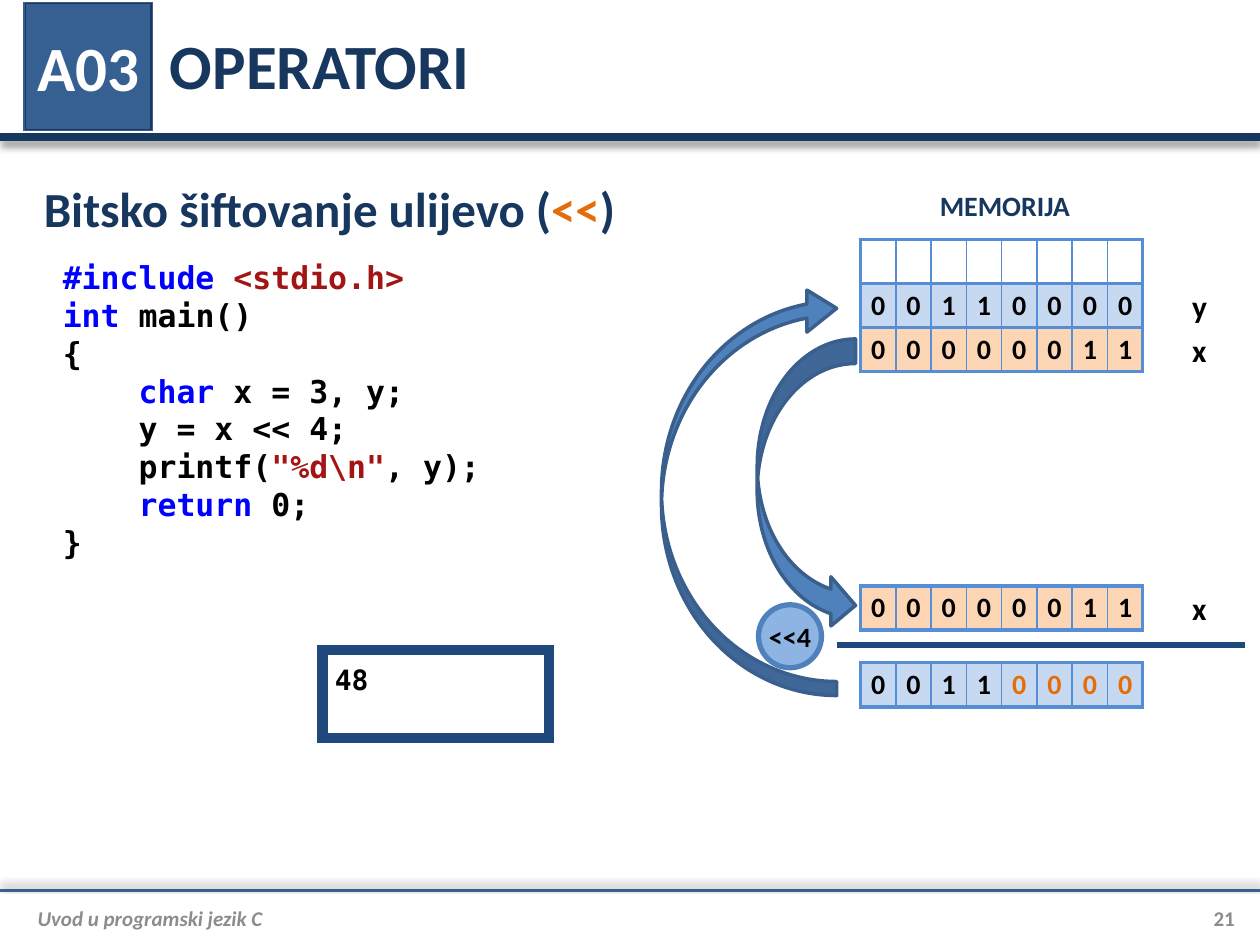
from lxml import etree
from pptx import Presentation
from pptx import util as u
from pptx.dml.color import RGBColor
from pptx.enum import shapes, text
from pptx.oxml.ns import qn

NAVY = RGBColor(0x17, 0x37, 0x5E)
BADGE = RGBColor(0x37, 0x60, 0x92)
FRAME = RGBColor(0x1F, 0x49, 0x7D)
ARROW = RGBColor(0x4F, 0x81, 0xBD)
ARROW_EDGE = RGBColor(0x3A, 0x5F, 0x8C)
GRID = RGBColor(0x55, 0x8E, 0xD5)
CIRCLE = RGBColor(0x8E, 0xB4, 0xE3)
BLUE_CELL = RGBColor(0xC6, 0xD9, 0xF1)
PEACH_CELL = RGBColor(0xFC, 0xD5, 0xB5)
ORANGE = RGBColor(0xE4, 0x6C, 0x0A)
GREY = RGBColor(0x8C, 0x8C, 0x8C)
KEYWORD = RGBColor(0x00, 0x00, 0xFF)
STRING = RGBColor(0xA3, 0x15, 0x15)
BLACK = RGBColor(0, 0, 0)
WHITE = RGBColor(0xFF, 0xFF, 0xFF)

SANS, MONO = "Calibri", "DejaVu Sans Mono"
LEFT, CENTER, RIGHT = text.PP_ALIGN.LEFT, text.PP_ALIGN.CENTER, text.PP_ALIGN.RIGHT
TOP, MIDDLE = text.MSO_ANCHOR.TOP, text.MSO_ANCHOR.MIDDLE
NO_INSETS = (0, 0, 0, 0)
NO_TABLE_STYLE = "{2D5ABB26-0587-4C30-8999-92F81FD0307C}"

# A line of text is a list of (words, colour) runs.
HEADING = [[("Bitsko šiftovanje ulijevo (", NAVY), ("<<", ORANGE), (")", NAVY)]]
CODE = [
    [("#include", KEYWORD), (" ", BLACK), ("<stdio.h>", STRING)],
    [("int", KEYWORD), (" main()", BLACK)],
    [("{", BLACK)],
    [("    char", KEYWORD), (" x = 3, y;", BLACK)],
    [("    y = x << 4;", BLACK)],
    [("    printf(", BLACK), ('"%d\\n"', STRING), (", y);", BLACK)],
    [("    return", KEYWORD), (" 0;", BLACK)],
    [("}", BLACK)],
]

BITS, CELL_W, ROW_H = 8, 0.28, 0.35
GRID_LEFT, NAME_LEFT, NAME_W = 6.83, 9.12, 0.8
MEMORY_TOP, OPERAND_TOP, RESULT_TOP = 1.9, 4.65, 5.26
Y_TOP, X_TOP = MEMORY_TOP + ROW_H, MEMORY_TOP + 2 * ROW_H
EMPTY, X_BITS, Y_BITS = " " * BITS, "00000011", "00110000"
# Back to front: (top, rows of bits, fill, has grid lines, how many last bits are new).
# In memory the cells and the values stored in them are separate layers.
REGISTERS = [
    (MEMORY_TOP, [EMPTY] * 3, None, True, 0),
    (X_TOP, [EMPTY], PEACH_CELL, True, 0),
    (X_TOP, [X_BITS], None, False, 0),
    (Y_TOP, [EMPTY], BLUE_CELL, True, 0),
    (OPERAND_TOP, [X_BITS], PEACH_CELL, True, 0),
    (Y_TOP, [Y_BITS], None, False, 0),
    (RESULT_TOP, [Y_BITS], BLUE_CELL, True, 4),
]
VARIABLES = [("x", X_TOP), ("y", Y_TOP), ("x", OPERAND_TOP)]

prs = Presentation()
prs.slide_width, prs.slide_height = u.Inches(10), u.Inches(7.5)
slide = prs.slides.add_slide(prs.slide_layouts[6])


def inches(*lengths):
    return [u.Inches(length) for length in lengths]


def write(box, lines, size, font=SANS, align=LEFT, anchor=MIDDLE,
          insets=(0.1, 0.05, 0.1, 0.05), italic=False):
    """Fill a text frame; box is the frame, or the table cell, that has the insets."""
    box.vertical_anchor = anchor
    (box.margin_left, box.margin_top,
     box.margin_right, box.margin_bottom) = inches(*insets)
    frame = getattr(box, "text_frame", box)
    frame.word_wrap = True
    for i, line in enumerate(lines):
        para = frame.add_paragraph() if i else frame.paragraphs[0]
        para.alignment = align
        para.font.size, para.font.name = u.Pt(size), font
        para.font.bold, para.font.italic = True, italic
        for words, color in line:
            run = para.add_run()
            run.text = words
            run.font.color.rgb = color


def label(place, lines, size, **style):
    box = slide.shapes.add_textbox(*inches(*place))
    write(box.text_frame, lines, size, **style)


def figure(kind, place, fill, edge, edge_width):
    shape = slide.shapes.add_shape(kind, *inches(*place))
    shape.shadow.inherit = False
    shape.fill.solid()
    shape.fill.fore_color.rgb = fill
    shape.line.color.rgb = edge
    shape.line.width = u.Pt(edge_width)
    if kind == shapes.MSO_SHAPE.RECTANGLE:
        etree.SubElement(shape.line._get_or_add_ln(), qn("a:miter"), lim="800000")
    return shape


def rule(left, right, y, color, width, shadow_angle=None):
    line = slide.shapes.add_connector(
        shapes.MSO_CONNECTOR.STRAIGHT, *inches(left, y, right, y))
    line.line.color.rgb = color
    line.line.width = u.Pt(width)
    effects = etree.SubElement(line._element.spPr, qn("a:effectLst"))
    if shadow_angle is not None:
        shadow = etree.SubElement(
            effects, qn("a:outerShdw"), blurRad=str(u.Pt(4)), dist=str(u.Pt(3)),
            dir=str(shadow_angle * 60000), rotWithShape="0")
        black = etree.SubElement(shadow, qn("a:srgbClr"), val=str(BLACK))
        etree.SubElement(black, qn("a:alpha"), val="40000")


def border(cell, column):
    """Thick lines around a row of bits, thin ones between its bits."""
    widths = {"lnL": 1 if column else 2.25,
              "lnR": 1 if column < BITS - 1 else 2.25,
              "lnT": 2.25, "lnB": 2.25}
    props = cell._tc.get_or_add_tcPr()
    for side, width in widths.items():
        edge = etree.SubElement(props, qn(f"a:{side}"), w=str(u.Pt(width)))
        fill = etree.SubElement(edge, qn("a:solidFill"))
        etree.SubElement(fill, qn("a:srgbClr"), val=str(GRID))


def register(top, rows, fill, has_grid, new_bits):
    table = slide.shapes.add_table(
        len(rows), BITS,
        *inches(GRID_LEFT, top, BITS * CELL_W, len(rows) * ROW_H)).table
    table.first_row = table.horz_banding = False
    table._tbl.tblPr.find(qn("a:tableStyleId")).text = NO_TABLE_STYLE
    for column in table.columns:
        column.width = u.Inches(CELL_W)
    for r, bits in enumerate(rows):
        table.rows[r].height = u.Inches(ROW_H)
        for c, bit in enumerate(bits):
            cell = table.cell(r, c)
            if has_grid:
                border(cell, c)
            if fill is None:
                cell.fill.background()
            else:
                cell.fill.solid()
                cell.fill.fore_color.rgb = fill
            color = ORANGE if c >= BITS - new_bits else BLACK
            write(cell, [[(bit, color)] if bit.strip() else []], 16,
                  align=CENTER, insets=NO_INSETS)


# Header and footer
rule(0, 10, 1.09, NAVY, 4.5, shadow_angle=90)
rule(0, 10, 7.07, BADGE, 1.5, shadow_angle=270)
badge_place = (0.2, 0.03, 1, 1)
figure(shapes.MSO_SHAPE.RECTANGLE, badge_place, ARROW, ARROW_EDGE, 2)
label((1.25, 0.01, 8.55, 1), [[("OPERATORI", NAVY)]], 36)
label((0.2, 7.11, 9.1, 0.35), [[("Uvod u programski jezik C", GREY)]], 12,
      insets=(0.1, 0, 0, 0), italic=True)
label((9.3, 7.11, 0.5, 0.35), [[("21", GREY)]], 12, align=RIGHT, insets=NO_INSETS)
badge = figure(shapes.MSO_SHAPE.RECTANGLE, badge_place, BADGE, NAVY, 0.75)
write(badge.text_frame, [[("A03", WHITE)]], 36, align=CENTER, insets=NO_INSETS)

# Program and its output
label((0.25, 1.4, 8.87, 0.5), HEADING, 28)
label((0.4, 2, 5, 2.52), CODE, 18, font=MONO, anchor=TOP)
output = figure(shapes.MSO_SHAPE.RECTANGLE, (2.56, 5.16, 1.8, 0.7), WHITE, FRAME, 6)
write(output.text_frame, [[("48", BLACK)]], 16, font=MONO, anchor=TOP,
      insets=(0.1, 0.1, 0.1, 0.1))

# Memory and the shift
label((7.23, 1.45, 1.49, 0.37), [[("MEMORIJA", NAVY)]], 16, align=CENTER, anchor=TOP)
for layer in REGISTERS:
    register(*layer)
for variable, top in VARIABLES:
    label((NAME_LEFT, top, NAME_W, ROW_H), [[(variable, BLACK)]], 18, align=CENTER)
figure(shapes.MSO_SHAPE.CURVED_RIGHT_ARROW, (6.01, 2.69, 0.78, 2.31),
       ARROW, ARROW_EDGE, 2)
shift = figure(shapes.MSO_SHAPE.OVAL, (6.02, 4.8, 0.5, 0.5), CIRCLE, ARROW, 3)
write(shift.text_frame, [[("<<4", BLACK)]], 16, align=CENTER, insets=NO_INSETS)
shift.text_frame.word_wrap = False
rule(6.64, 9.88, 5.12, FRAME, 3)
store = figure(shapes.MSO_SHAPE.CURVED_LEFT_ARROW, (5.25, 2.28, 1.39, 3.24),
               ARROW, ARROW_EDGE, 2)
store.rotation = 180
for i, share in enumerate((0.08, 0.24, 0.17)):
    store.adjustments[i] = share

prs.save("out.pptx")
